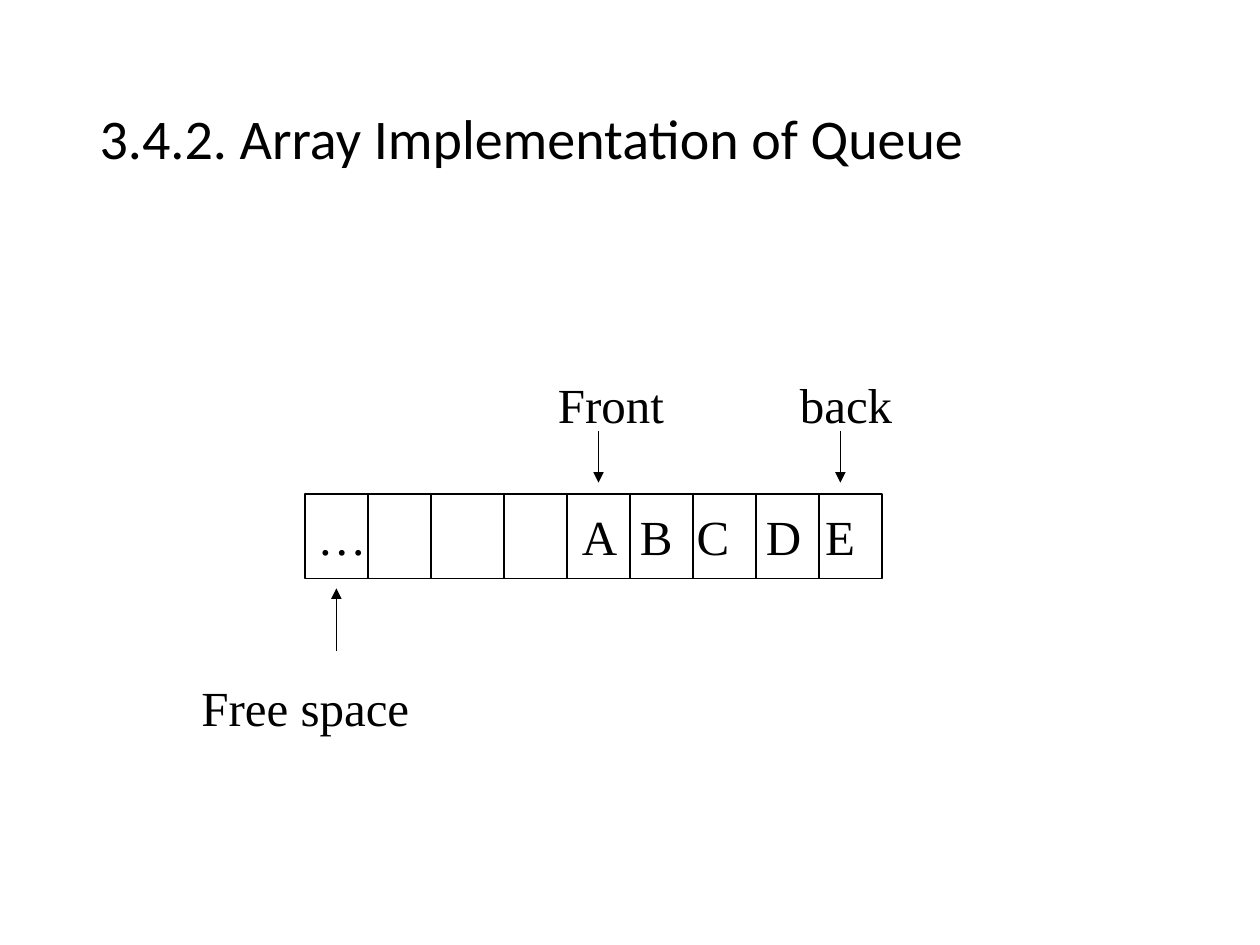
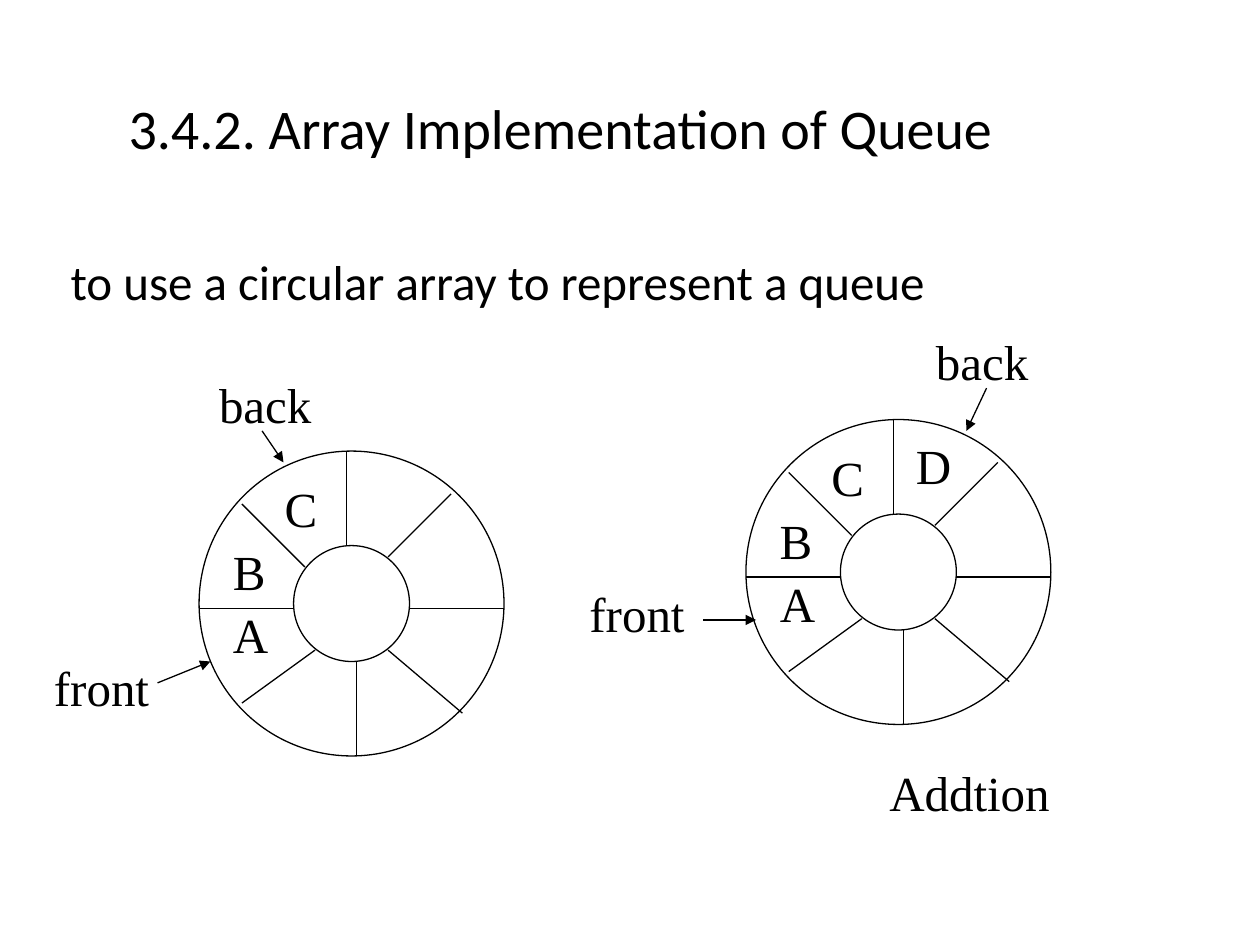
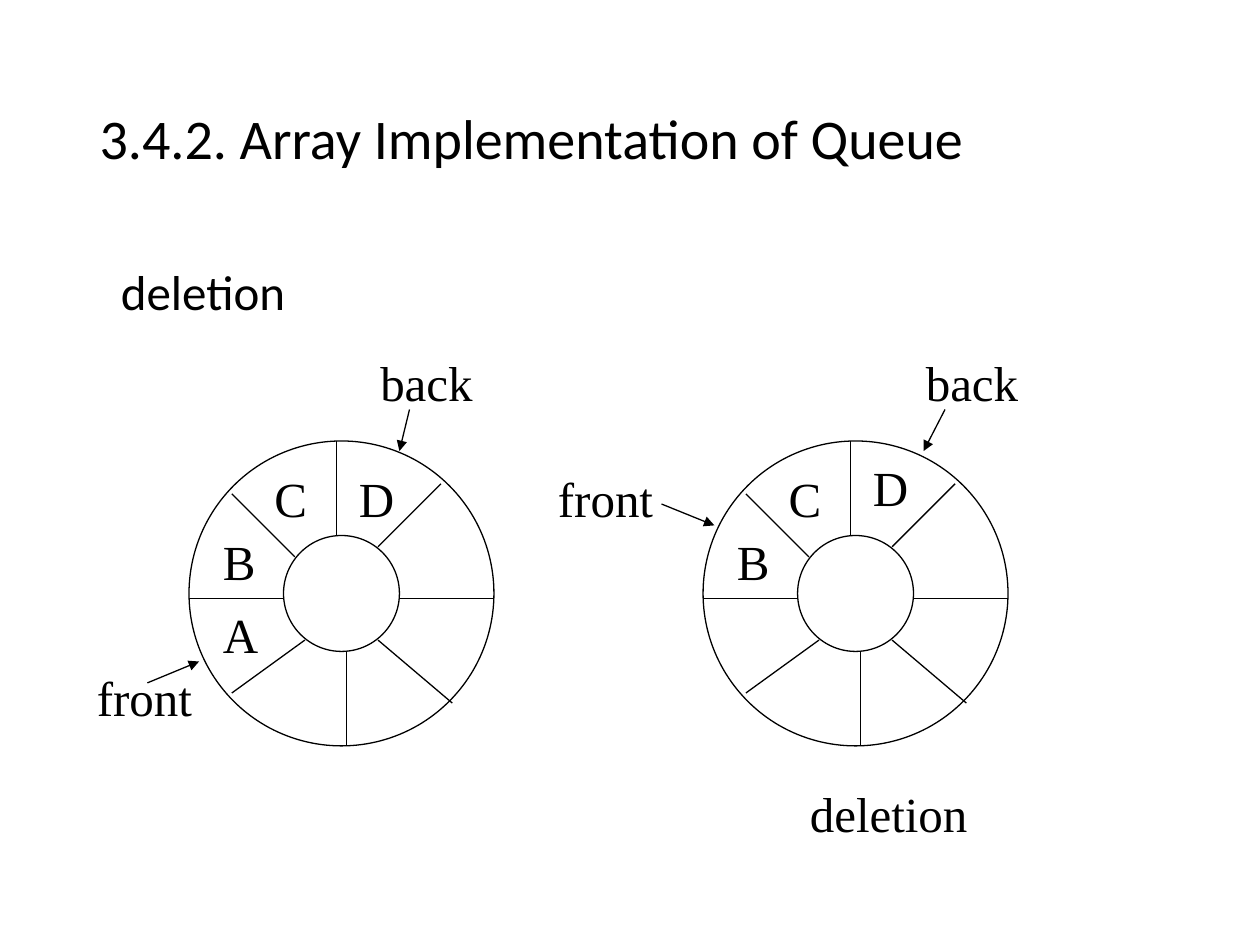
from dataclasses import dataclass

from pptx import Presentation
from pptx import util as u
from pptx.dml.color import RGBColor
from pptx.enum import shapes, text
from pptx.oxml.ns import qn
from lxml import etree


@dataclass(frozen=True)
class Theme:
    ink: RGBColor = RGBColor(0, 0, 0)
    heading_font: str = "Calibri"
    label_font: str = "Times New Roman"
    title_size: float = 32
    text_size: float = 28
    line_width: float = 0.75
    line_spacing: float = 0.9
    label_height: float = 0.57


THEME = Theme()
TITLE = "3.4.2. Array Implementation of Queue"
TITLE_BOX = (0.69, 0.4, 8.63, 1.45)

RING_SIZE, HUB_SIZE, HUB_OFFSET = 2.42, 0.92, 0.75
SPOKES = [
    ((1.17, 0), (1.17, 0.75)),
    ((1.5, 0.84), (2, 0.34)),
    ((1.67, 1.25), (2.42, 1.25)),
    ((1.5, 1.58), (2.09, 2.08)),
    ((1.25, 1.67), (1.25, 2.42)),
    ((0.92, 1.58), (0.34, 2)),
    ((0.75, 1.25), (0, 1.25)),
    ((0.84, 0.92), (0.34, 0.42)),
]
LETTER_COLUMNS = {"A": (0.17, 0.58), "B": (0.17, 0.5), "C": (0.58, 0.58), "D": (1.25, 0.5)}
POINTER_WIDTHS = {"back": 1, "front": 1.08}


def inches(values):
    return [u.Inches(value) for value in values]


def shift(origin, offset):
    return origin[0] + offset[0], origin[1] + offset[1]


def format_text(frame, font, size):
    for para in frame.paragraphs:
        para.alignment = text.PP_ALIGN.LEFT
        for span in para.runs:
            span.font.name = font
            span.font.size = u.Pt(size)
            span.font.color.rgb = THEME.ink


def set_tabs(para, stops):
    tab_list = etree.SubElement(para._p.get_or_add_pPr(), qn("a:tabLst"))
    for stop in stops:
        etree.SubElement(tab_list, qn("a:tab"), pos=str(u.Inches(stop)), algn="l")


def add_label(parts, box, words, stops=()):
    label = parts.add_textbox(*inches(box))
    frame = label.text_frame
    frame.word_wrap = True
    frame.auto_size = text.MSO_AUTO_SIZE.SHAPE_TO_FIT_TEXT
    frame.text = words
    format_text(frame, THEME.label_font, THEME.text_size)
    if stops:
        set_tabs(frame.paragraphs[0], stops)


def add_line(parts, start, end, arrow=False):
    line = parts.add_connector(shapes.MSO_CONNECTOR.STRAIGHT, *inches((*start, *end)))
    line.line.color.rgb = THEME.ink
    line.line.width = u.Pt(THEME.line_width)
    properties = line.element.spPr
    if arrow:
        etree.SubElement(properties.find(qn("a:ln")), qn("a:tailEnd"), type="triangle")
    etree.SubElement(properties, qn("a:effectLst"))


def add_outline(parts, kind, box):
    outline = parts.add_shape(kind, *inches(box))
    outline.shadow.inherit = False
    outline.fill.background()
    outline.line.color.rgb = THEME.ink
    outline.line.width = u.Pt(THEME.line_width)
    return outline


def fill_placeholder(holder, box, words, size, anchor):
    holder.left, holder.top, holder.width, holder.height = inches(box)
    frame = holder.text_frame
    frame.text = words
    frame.auto_size = text.MSO_AUTO_SIZE.NONE
    frame.vertical_anchor = anchor
    format_text(frame, THEME.heading_font, size)
    para = frame.paragraphs[0]
    para.line_spacing = THEME.line_spacing
    return para


def add_page(deck, layout, title_box=TITLE_BOX):
    page = deck.slides.add_slide(deck.slide_layouts.get_by_name(layout))
    fill_placeholder(page.shapes.title, title_box, TITLE, THEME.title_size, text.MSO_ANCHOR.MIDDLE)
    return page


def add_body(page, box, words, margin):
    para = fill_placeholder(page.placeholders[1], box, words, THEME.text_size, text.MSO_ANCHOR.TOP)
    para.space_before = u.Pt(7.5)
    properties = para._p.get_or_add_pPr()
    properties.set("marL", str(u.Inches(margin)))
    properties.set("indent", "0")
    etree.SubElement(properties, qn("a:buNone"))


def draw_array(parts, box):
    left, top, width, height = box
    array = add_outline(parts, shapes.MSO_SHAPE.RECTANGLE, box)
    frame = array.text_frame
    frame.word_wrap = True
    frame.vertical_anchor = text.MSO_ANCHOR.MIDDLE
    frame.text = "…\tA\tB\tC\tD\tE"
    format_text(frame, THEME.label_font, THEME.text_size)
    set_tabs(frame.paragraphs[0], (2.1, 2.56, 3.01, 3.56, 4.03))
    dividers = [0.5, 1] + [1.58 + 0.5 * step for step in range(6)]
    for divider in dividers:
        add_line(parts, (left + divider, top), (left + divider, top + height))
    add_label(parts, (left + 1.91, top - 1, 3.42, THEME.label_height), "Front\tback", [1.92])
    for pointer in (2.33, 4.25):
        add_line(parts, (left + pointer, top - 0.5), (left + pointer, top - 0.09), arrow=True)
    add_line(parts, (left + 0.25, top + 1.25), (left + 0.25, top + 0.75), arrow=True)
    add_label(parts, (left - 0.92, top + 1.41, 2.25, THEME.label_height), "Free space")


def draw_ring(page, origin, letters, pointers, caption=None):
    parts = page.shapes.add_group_shape().shapes
    hub = shift(origin, (HUB_OFFSET, HUB_OFFSET))
    for corner, size in ((origin, RING_SIZE), (hub, HUB_SIZE)):
        add_outline(parts, shapes.MSO_SHAPE.OVAL, (*corner, size, size))
    for start, end in SPOKES:
        add_line(parts, shift(origin, start), shift(origin, end))
    for letter, drop in letters.items():
        column, width = LETTER_COLUMNS[letter]
        add_label(parts, (*shift(origin, (column, drop)), width, THEME.label_height), letter)
    for name, (offset, start, end) in pointers.items():
        add_label(parts, (*shift(origin, offset), POINTER_WIDTHS[name], THEME.label_height), name)
        add_line(parts, shift(origin, start), shift(origin, end), arrow=True)
    if caption:
        words, offset = caption
        add_label(parts, (*shift(origin, offset), 2.04, THEME.label_height), words)


def array_slide(deck):
    page = add_page(deck, "Title Only")
    draw_array(page.shapes, (2.42, 3.92, 4.58, 0.67))


def addition_slide(deck):
    page = add_page(deck, "Title and Content", (0.92, 0.42, 8.5, 1.25))
    add_body(page, (0.25, 2, 9.33, 4.58), "to use a circular array to represent a queue", 0.21)
    draw_ring(page, (1.58, 3.58), {"A": 1.17, "B": 0.67, "C": 0.17}, {
        "back": ((0.06, -0.66), (0.5, -0.16), (0.67, 0.09)),
        "front": ((-1.25, 1.59), (-0.33, 1.84), (0.09, 1.67)),
    })
    draw_ring(page, (5.92, 3.33), {"A": 1.17, "B": 0.67, "C": 0.17, "D": 0.08}, {
        "back": ((1.41, -0.75), (1.91, -0.25), (1.75, 0.09)),
        "front": ((-1.34, 1.25), (-0.34, 1.59), (0.08, 1.59)),
    }, ("Addtion", (1.04, 2.67)))


def deletion_slide(deck):
    page = add_page(deck, "Title and Content")
    add_body(page, (0.75, 2.08, 8.5, 4.67), "deletion", 0.11)
    draw_ring(page, (1.5, 3.5), {"A": 1.25, "B": 0.67, "C": 0.17, "D": 0.17}, {
        "back": ((1.42, -0.75), (1.75, -0.25), (1.67, 0.08)),
        "front": ((-0.83, 1.75), (-0.33, 1.92), (0.08, 1.75)),
    })
    draw_ring(page, (5.58, 3.5), {"B": 0.67, "C": 0.17, "D": 0.08}, {
        "back": ((1.67, -0.75), (1.92, -0.25), (1.75, 0.08)),
        "front": ((-1.25, 0.17), (-0.33, 0.5), (0.09, 0.67)),
    }, ("deletion", (0.75, 2.67)))


def main():
    deck = Presentation()
    deck.slide_width, deck.slide_height = inches((10, 7.5))
    array_slide(deck)
    addition_slide(deck)
    deletion_slide(deck)
    deck.save("out.pptx")


if __name__ == "__main__":
    main()
